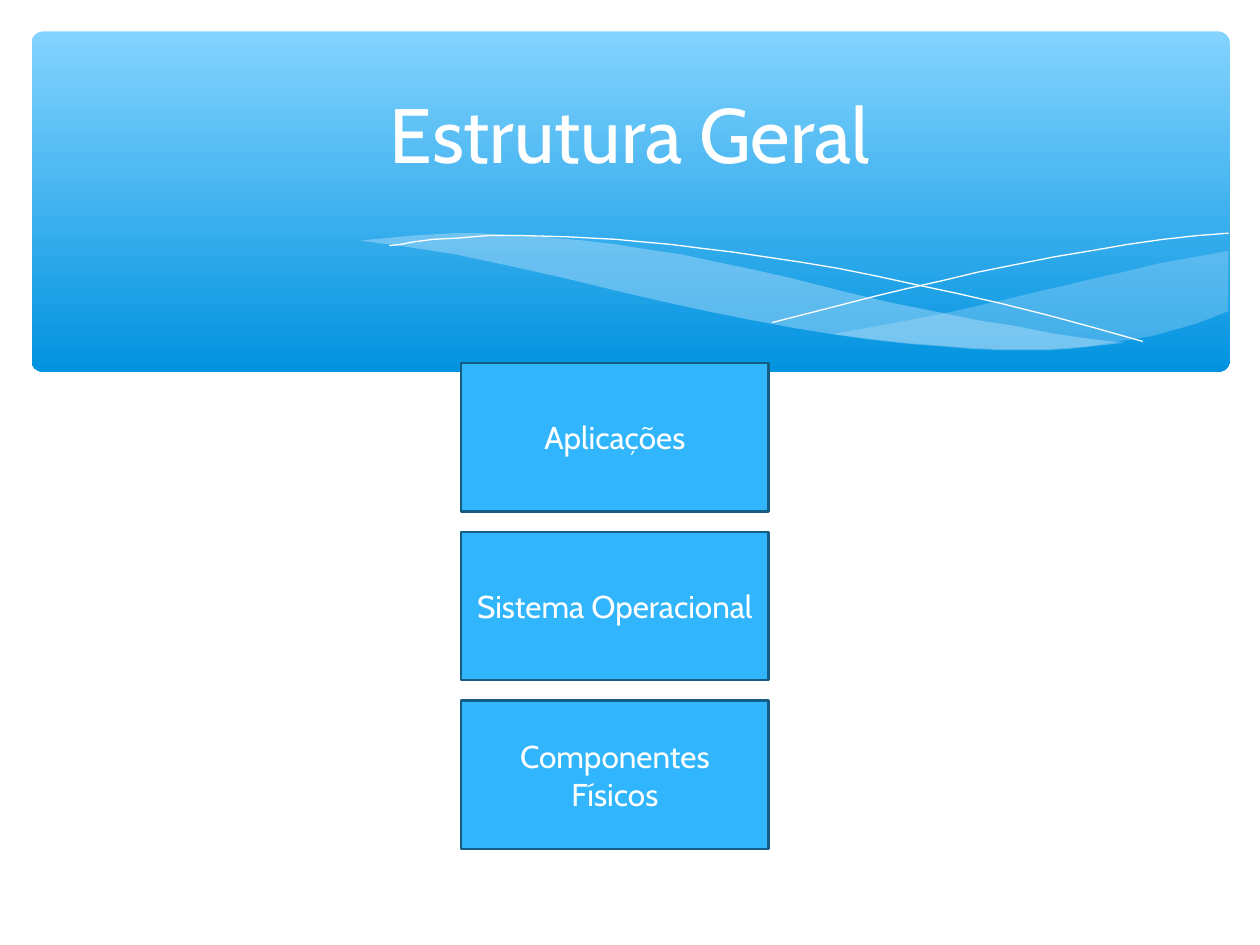
from lxml import etree
from pptx import Presentation
from pptx.dml.color import RGBColor
from pptx.enum.shapes import MSO_SHAPE
from pptx.enum.text import MSO_ANCHOR, MSO_AUTO_SIZE, PP_ALIGN
from pptx.oxml.ns import qn
from pptx.util import Inches, Pt

RECTANGLE = MSO_SHAPE.RECTANGLE
ROUNDED = MSO_SHAPE.ROUNDED_RECTANGLE
CENTER = PP_ALIGN.CENTER
MIDDLE = MSO_ANCHOR.MIDDLE
NO_FIT = MSO_AUTO_SIZE.NONE
TITLE_ONLY = 5

RIGHT_WAVE = [
    (9.75, 1.99), (9.48, 2.04), (9.2, 2.09), (8.91, 2.16), (8.6, 2.23), (8.05, 2.36),
    (7.53, 2.48), (7.06, 2.57), (6.61, 2.65), (6.91, 2.69), (7.18, 2.72), (7.44, 2.74),
    (7.69, 2.76), (7.92, 2.77), (8.34, 2.77), (8.63, 2.75), (8.89, 2.71), (9.13, 2.67),
    (9.35, 2.61), (9.49, 2.57), (9.62, 2.52), (9.75, 2.47),
]
LEFT_WAVE = [
    (8.92, 2.72), (8.65, 2.69), (8.37, 2.65), (8.07, 2.59), (7.75, 2.54), (7.41, 2.47),
    (7.06, 2.4), (6.68, 2.31), (6.29, 2.21), (5.98, 2.14), (5.69, 2.08), (5.41, 2.02),
    (5.14, 1.98), (4.89, 1.94), (4.64, 1.91), (4.41, 1.89), (4.2, 1.87), (3.99, 1.86),
    (3.8, 1.85), (3.61, 1.85), (3.28, 1.87), (2.86, 1.91), (3.23, 1.96), (3.62, 2.02),
    (4.04, 2.11), (4.49, 2.21), (4.9, 2.31), (5.29, 2.4), (5.66, 2.48), (6.01, 2.55),
    (6.34, 2.61), (6.65, 2.66), (6.94, 2.7), (7.22, 2.73), (7.48, 2.75), (7.72, 2.77),
    (7.96, 2.78), (8.28, 2.78), (8.48, 2.77), (8.66, 2.75), (8.84, 2.73),
]
FALLING_CURVE = [
    (3.09, 1.95), (3.18, 1.94), (3.28, 1.92), (3.44, 1.9), (3.63, 1.89), (3.87, 1.87),
    (4.16, 1.87), (4.5, 1.88), (4.89, 1.9), (5.1, 1.92), (5.32, 1.94), (5.56, 1.97),
    (5.81, 2), (6.08, 2.04), (6.35, 2.08), (6.65, 2.13), (6.95, 2.19), (7.27, 2.26),
    (7.6, 2.33), (7.95, 2.41), (8.31, 2.5), (8.68, 2.6), (9.07, 2.71),
]
RISING_CURVE = [
    (6.13, 2.56), (6.52, 2.46), (6.95, 2.35), (7.2, 2.29), (7.47, 2.23), (7.76, 2.16),
    (8.06, 2.1), (8.36, 2.04), (8.66, 1.99), (8.95, 1.94), (9.23, 1.9), (9.5, 1.87),
    (9.63, 1.86), (9.75, 1.85),
]
LAYERS = ["Aplicações", "Sistema Operacional", "Componentes Físicos"]


def color(value):
    return RGBColor.from_string(value)


class SlideBuilder:
    font = "Cabin"
    white = "FFFFFF"
    box_fill = "31B6FD"
    box_line = "165D83"
    wave_fill = "C6E7FC"

    def __init__(self, page):
        self.page = page

    def label(self, shape, text, size):
        frame = shape.text_frame
        frame.word_wrap = True
        frame.auto_size = NO_FIT
        frame.vertical_anchor = MIDDLE
        para = frame.paragraphs[0]
        para.alignment = CENTER
        span = para.add_run()
        span.text = text
        span.font.name = self.font
        span.font.size = Pt(size)
        span.font.color.rgb = color(self.white)

    def title(self, text, left, top, width, height):
        title = self.page.shapes.title
        title.left, title.top = Inches(left), Inches(top)
        title.width, title.height = Inches(width), Inches(height)
        self.page.shapes.element.append(title.element)
        self.label(title, text, 44)

    def shape(self, kind, left, top, width, height):
        shape = self.page.shapes.add_shape(
            kind, Inches(left), Inches(top), Inches(width), Inches(height))
        shape.shadow.inherit = False
        return shape

    def band(self, left, top, width, height):
        band = self.shape(ROUNDED, left, top, width, height)
        band.adjustments[0] = 0.034
        band.fill.gradient()
        band.fill.gradient_angle = 270
        for stop, position, value in zip(
                band.fill.gradient_stops, (0, 1), ("83D3FE", "0293E0")):
            stop.position = position
            stop.color.rgb = color(value)
        band.line.fill.background()

    def box(self, text, left, top, width, height):
        box = self.shape(RECTANGLE, left, top, width, height)
        box.fill.solid()
        box.fill.fore_color.rgb = color(self.box_fill)
        box.line.color.rgb = color(self.box_line)
        box.line.width = Pt(1.25)
        self.label(box, text, 18)

    def outline(self, points, close):
        corners = [(Inches(x), Inches(y)) for x, y in points]
        builder = self.page.shapes.build_freeform(*corners[0])
        builder.add_line_segments(corners[1:], close=close)
        outline = builder.convert_to_shape()
        outline.shadow.inherit = False
        return outline

    def wave(self, points, opacity):
        wave = self.outline(points, True)
        wave.fill.solid()
        wave.fill.fore_color.rgb = color(self.wave_fill)
        tint = wave.element.find(".//" + qn("a:srgbClr"))
        etree.SubElement(tint, qn("a:alpha"), val=str(opacity * 1000))
        wave.line.fill.background()

    def curve(self, points):
        curve = self.outline(points, False)
        curve.fill.background()
        curve.line.color.rgb = color(self.white)
        curve.line.width = Pt(0.75)


def main():
    deck = Presentation()
    deck.slide_width, deck.slide_height = Inches(10), Inches(7.5)
    builder = SlideBuilder(deck.slides.add_slide(deck.slide_layouts[TITLE_ONLY]))
    builder.band(0.25, 0.25, 9.51, 2.7)
    builder.wave(RIGHT_WAVE, 29)
    builder.wave(LEFT_WAVE, 40)
    builder.curve(FALLING_CURVE)
    builder.curve(RISING_CURVE)
    builder.title("Estrutura Geral", 0.5, 0.37, 9, 1.37)
    for row, text in enumerate(LAYERS):
        builder.box(text, 3.66, 2.88 + row * 1.34, 2.44, 1.18)
    deck.save("out.pptx")


if __name__ == "__main__":
    main()
